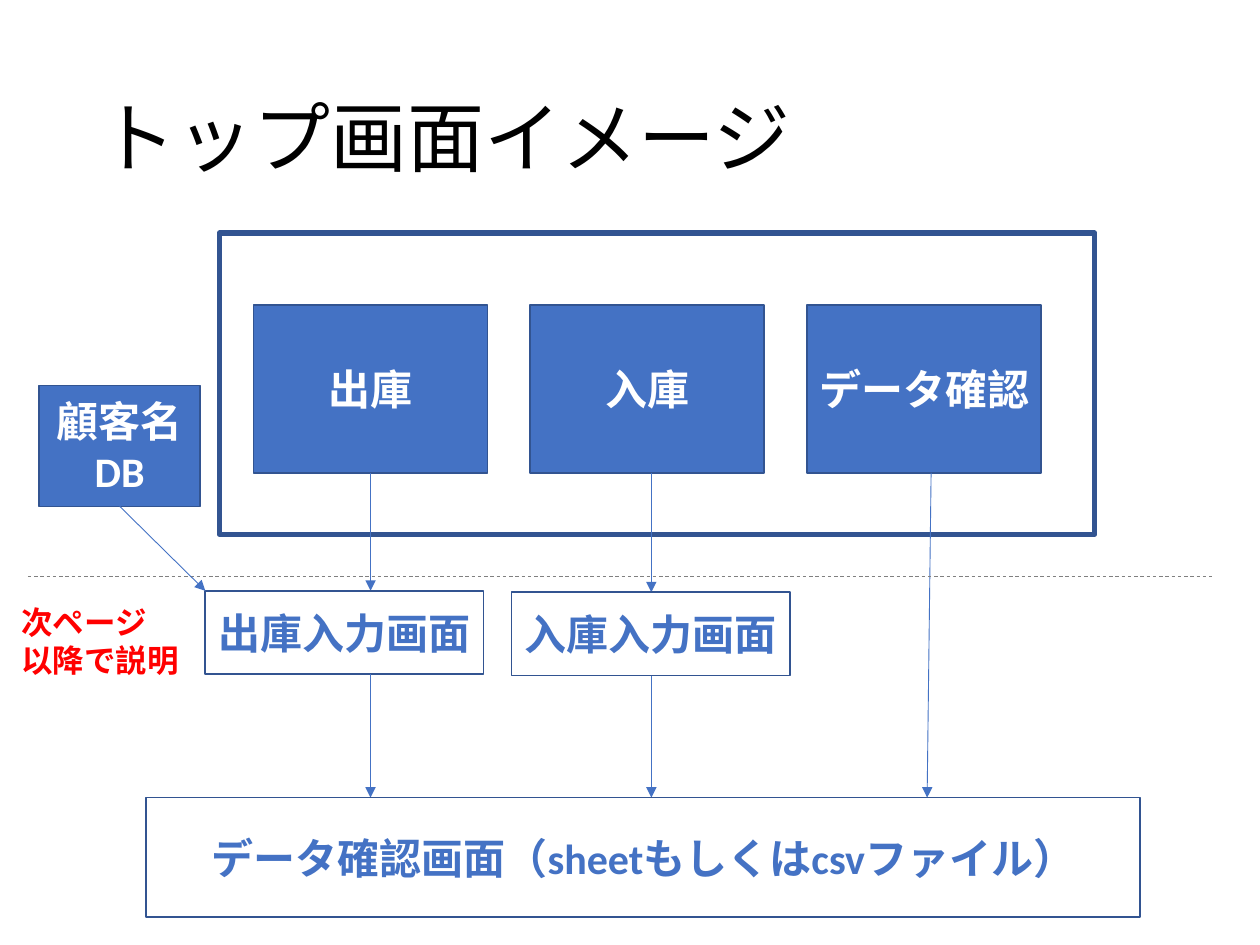
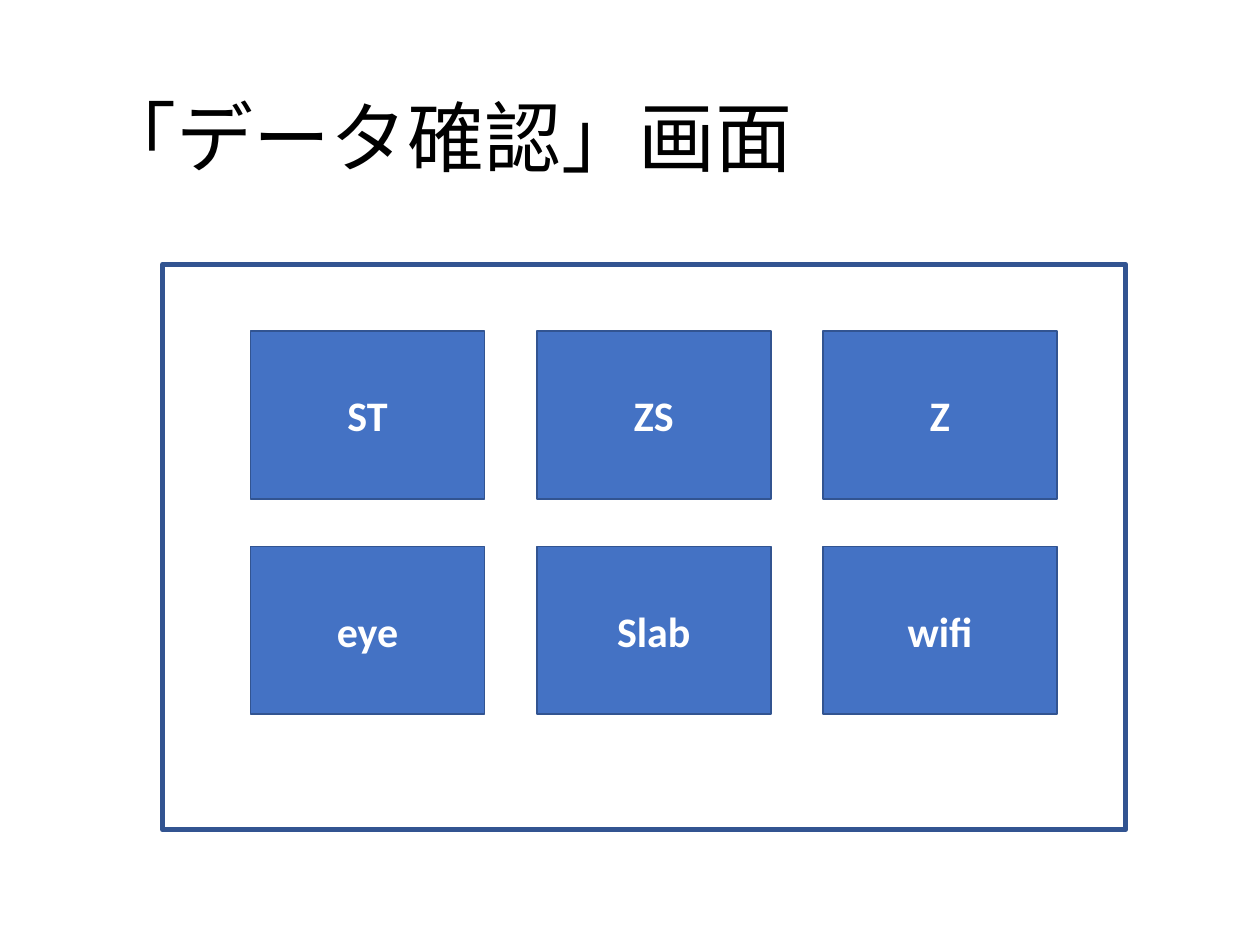
"""Build two slides on the screens of a stock entry tool."""
import dataclasses
import lxml.etree
import pptx
import pptx.dml.color
import pptx.enum.dml
import pptx.enum.shapes
import pptx.enum.text
import pptx.oxml.ns
import pptx.util

Cm = pptx.util.Cm
Pt = pptx.util.Pt
Align = pptx.enum.text.PP_ALIGN
Anchor = pptx.enum.text.MSO_ANCHOR


@dataclasses.dataclass(frozen=True)
class Theme:
    font: str = "Calibri"
    blue: str = "4472C4"
    edge: str = "325491"
    white: str = "FFFFFF"
    black: str = "000000"
    red: str = "FF0000"
    gray: str = "808080"
    head: int = 44
    body: int = 24
    note: int = 18
    thick: float = 3
    thin: float = 1
    hair: float = 0.5


THEME = Theme()
TILE = (4.72, 3.38)
TITLE = (1.75, 1.02, 21.9, 3.68)

TOP = {
    "title": "トップ画面イメージ",
    "frame": (4.42, 4.7, 17.65, 6.07),
    "start": (5.11, 6.15),
    "step": (5.58, 0),
    "tiles": [["出庫", "入庫", "データ確認"]],
}
DATA = {
    "title": "「データ確認」画面",
    "frame": (3.28, 5.33, 19.41, 11.4),
    "start": (5.05, 6.68),
    "step": (5.77, 4.34),
    "tiles": [["ST", "ZS", "Z"], ["eye", "Slab", "wifi"]],
}
STORE = ("顧客名DB", (0.79, 7.77, 3.25, 2.44))
FORMS = [
    ("出庫入力画面", (4.14, 11.91, 5.61, 1.68), 7.47),
    ("入庫入力画面", (10.31, 11.94, 5.61, 1.68), 13.13),
]
REPORT = ("データ確認画面（sheetもしくはcsvファイル）", (2.95, 16.08, 20.04, 2.41))
NOTE = (["次ページ", "以降で説明"], (0.18, 12.04, 3.94, 1.8))
SPLIT = (0.56, 11.63, 24.43, 11.63)


def color(code):
    return pptx.dml.color.RGBColor.from_string(code)


def cms(nums):
    return [Cm(num) for num in nums]


def write(para, text, size, code, bold=True):
    run = para.add_run()
    run.text = text
    font = run.font
    font.name, font.size, font.bold = THEME.font, Pt(size), bold
    font.color.rgb = color(code)


def add_box(slide, spot, text="", solid=False, width=THEME.thin):
    box = slide.shapes.add_shape(pptx.enum.shapes.MSO_SHAPE.RECTANGLE, *cms(spot))
    box.shadow.inherit = False
    box.line.color.rgb, box.line.width = color(THEME.edge), Pt(width)
    if solid:
        box.fill.solid()
        box.fill.fore_color.rgb = color(THEME.blue)
    else:
        box.fill.background()
    if text:
        frame = box.text_frame
        frame.word_wrap, frame.vertical_anchor = True, Anchor.MIDDLE
        frame.margin_left = frame.margin_right = Cm(0.18)
        frame.margin_top = frame.margin_bottom = Cm(0.1)
        para = frame.paragraphs[0]
        para.alignment = Align.CENTER
        write(para, text, THEME.body, THEME.white if solid else THEME.blue)


def add_line(slide, ends, code=THEME.blue, dash=False):
    kind = pptx.enum.shapes.MSO_CONNECTOR.STRAIGHT
    link = slide.shapes.add_connector(kind, *cms(ends))
    link.line.color.rgb, link.line.width = color(code), Pt(THEME.hair)
    if dash:
        link.line.dash_style = pptx.enum.dml.MSO_LINE.DASH
    else:
        pen = link.line._get_or_add_ln()
        lxml.etree.SubElement(pen, pptx.oxml.ns.qn("a:tailEnd"), type="triangle")
    props = link._element.spPr
    lxml.etree.SubElement(props, pptx.oxml.ns.qn("a:effectLst"))


def add_page(deck, page):
    slide = deck.slides.add_slide(deck.slide_layouts[5])
    title = slide.shapes.title
    title.left, title.top, title.width, title.height = cms(TITLE)
    frame = title.text_frame
    frame.auto_size = pptx.enum.text.MSO_AUTO_SIZE.NONE
    frame.word_wrap, frame.vertical_anchor = True, Anchor.MIDDLE
    para = frame.paragraphs[0]
    para.alignment, para.line_spacing = Align.LEFT, 0.9
    write(para, page["title"], THEME.head, THEME.black, False)
    add_box(slide, page["frame"], width=THEME.thick)
    left, top = page["start"]
    across, down = page["step"]
    for row, names in enumerate(page["tiles"]):
        for col, name in enumerate(names):
            spot = (left + col * across, top + row * down, *TILE)
            add_box(slide, spot, name, True)
    return slide


def add_flow(slide):
    base = TOP["start"][1] + TILE[1]
    goal = REPORT[1][1]
    for text, spot, mid in FORMS:
        add_line(slide, (mid, base, mid, spot[1]))
        add_box(slide, spot, text)
        add_line(slide, (mid, spot[1] + spot[3], mid, goal))
    add_line(slide, (18.77, base, 18.69, goal))
    add_box(slide, REPORT[1], REPORT[0])
    add_line(slide, SPLIT, THEME.gray, True)
    text, spot = STORE
    add_box(slide, spot, text, True)
    left, top, width, height = spot
    add_line(slide, (left + width / 2, top + height, *FORMS[0][1][:2]))


def add_note(slide):
    lines, spot = NOTE
    frame = slide.shapes.add_textbox(*cms(spot)).text_frame
    frame.word_wrap = True
    for num, text in enumerate(lines):
        para = frame.add_paragraph() if num else frame.paragraphs[0]
        write(para, text, THEME.note, THEME.red)


def main():
    deck = pptx.Presentation()
    deck.slide_width, deck.slide_height = cms((25.4, 19.05))
    slide = add_page(deck, TOP)
    add_flow(slide)
    add_note(slide)
    add_page(deck, DATA)
    deck.save("out.pptx")


main()
